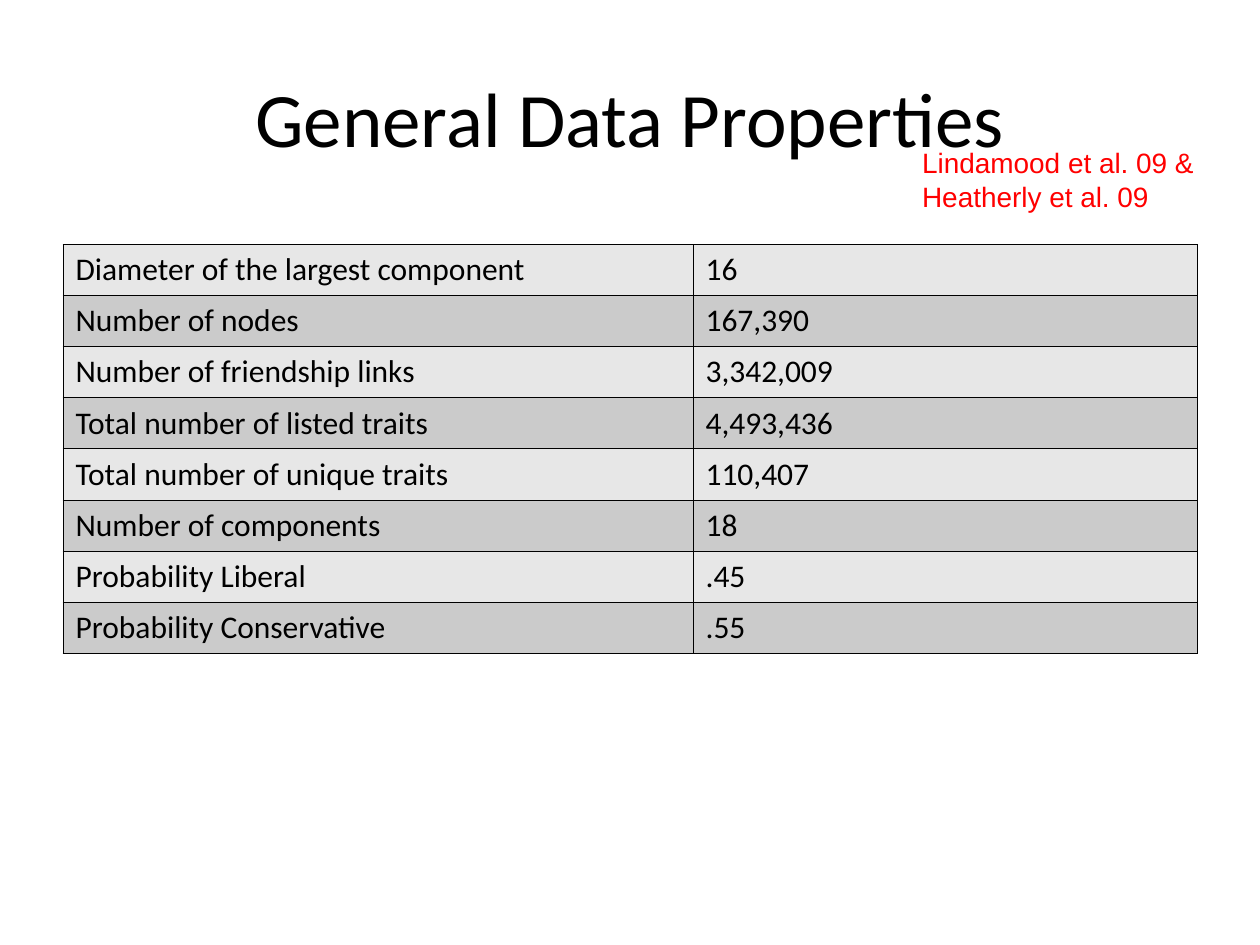
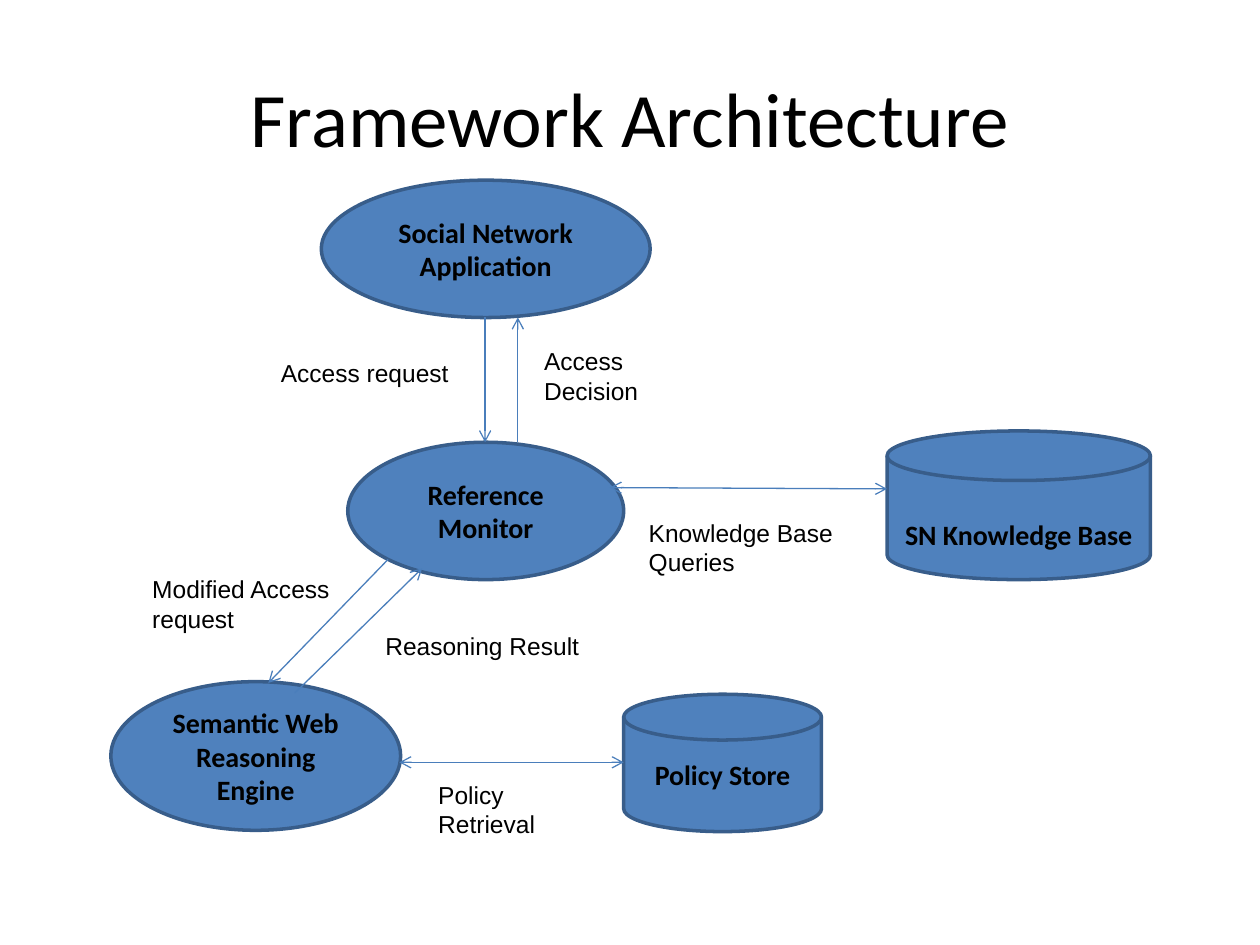
from collections import namedtuple
from lxml.etree import SubElement
from pptx import Presentation
from pptx.dml.color import RGBColor
from pptx.enum.shapes import MSO_CONNECTOR, MSO_SHAPE
from pptx.enum.text import MSO_ANCHOR, PP_ALIGN
from pptx.oxml.ns import qn
from pptx.util import Inches, Pt

WIDTH, HEIGHT = Inches(10), Inches(7.5)
COLS, ROWS = 100, 75
BLACK, RED, BLUE, NAVY, STEEL = "000000", "FF0000", "4F81BD", "385D8A", "4A7EBB"
BANDS = ("E7E7E7", "CBCBCB")
TITLE = {"name": "Calibri", "size": Pt(44)}
CELL = {"name": "Calibri", "size": Pt(18)}
NODE = {"name": "Calibri", "size": Pt(16), "bold": True}
CITE = {"name": "Arial", "size": Pt(16)}
LABEL = {"name": "Arial", "size": Pt(14)}
FRAME = {"word_wrap": True, "margin_left": Inches(0.1), "margin_right": Inches(0.1),
         "margin_top": Inches(0.05), "margin_bottom": Inches(0.05)}
CENTRED = {**FRAME, "vertical_anchor": MSO_ANCHOR.MIDDLE}

DATA = [
    ("Diameter of the largest component", "16"),
    ("Number of nodes", "167,390"),
    ("Number of friendship links", "3,342,009"),
    ("Total number of listed traits", "4,493,436"),
    ("Total number of unique traits", "110,407"),
    ("Number of components", "18"),
    ("Probability Liberal", ".45"),
    ("Probability Conservative", ".55"),
]
OVAL, DISK = MSO_SHAPE.OVAL, MSO_SHAPE.FLOWCHART_MAGNETIC_DISK
NODES = [
    (OVAL, "Social Network Application", (16.7, 0, 26.1, 10.9), 0.05),
    (OVAL, "Reference Monitor", (18.8, 20.8, 21.9, 10.9), 0.05),
    (OVAL, "Semantic Web Reasoning Engine", (0, 39.8, 23, 11.8), 0.05),
    (DISK, "Policy Store", (40.7, 40.8, 15.7, 10.9), 0.05),
    (DISK, "SN Knowledge Base", (61.6, 19.9, 20.9, 11.8), 0.32),
]
ONE, BOTH = ("tailEnd",), ("headEnd", "tailEnd")
ARROWS = [
    ((29.7, 10.9), (29.7, 20.8), ONE),
    ((32.3, 20.8), (32.3, 10.9), ONE),
    ((22, 30.1), (12.5, 39.9), ONE),
    ((14.6, 40.7), (24.7, 30.8), ONE),
    ((22.9, 46.2), (40.7, 46.2), BOTH),
    ((39.6, 24.4), (61.6, 24.5), BOTH),
]
LABELS = [
    ("Access request", (12.5, 13.6, 18.8, 3.4)),
    ("Access Decision", (33.4, 12.7, 13.6, 5.7)),
    ("Modified Access\nrequest", (2.3, 30.8, 16.7, 5.7)),
    ("Policy Retrieval", (25, 47.1, 14.6, 5.7)),
    ("Reasoning Result", (20.8, 35.3, 18.8, 3.4)),
    ("Knowledge Base Queries", (41.7, 26.3, 18.8, 5.7)),
]


class Box(namedtuple("Box", "x y w h")):
    """A region of the slide, in grid columns and rows."""

    def spot(self, x, y):
        """Return the slide position of a point inside the box."""
        return int((self.x + x) * WIDTH / COLS), int((self.y + y) * HEIGHT / ROWS)

    def area(self, x, y, w, h):
        """Return the slide position and size of an area of the box."""
        return *self.spot(x, y), int(w * WIDTH / COLS), int(h * HEIGHT / ROWS)

    def whole(self):
        """Return the slide position and size of the box itself."""
        return self.area(0, 0, self.w, self.h)


def color(code):
    """Turn a hex string into a colour."""
    return RGBColor.from_string(code)


def assign(thing, values):
    """Set each named value on an object."""
    for name, value in values.items():
        setattr(thing, name, value)


def write(frame, text, font, ink=BLACK, align=PP_ALIGN.LEFT, form=FRAME):
    """Fill a text frame, one paragraph for each line."""
    assign(frame, form)
    frame.text = text
    for para in frame.paragraphs:
        para.alignment = align
        for run in para.runs:
            assign(run.font, font)
            run.font.color.rgb = color(ink)


def head(slide, text):
    """Place and format the slide title."""
    title = slide.shapes.title
    assign(title, dict(zip(("left", "top", "width", "height"), Box(5, 3, 90, 12.5).whole())))
    write(title.text_frame, text, TITLE, align=PP_ALIGN.CENTER, form=CENTRED)


def note(slide, box, text, font, ink=BLACK):
    """Add a plain text box."""
    write(slide.shapes.add_textbox(*box).text_frame, text, font, ink)


def edge(cell):
    """Draw thin black borders around a cell."""
    props = cell._tc.get_or_add_tcPr()
    for place, side in enumerate(("lnL", "lnR", "lnT", "lnB")):
        line = props.makeelement(qn(f"a:{side}"), {"w": str(Pt(0.45))})
        fill = SubElement(line, qn("a:solidFill"))
        SubElement(fill, qn("a:srgbClr"), val=BLACK)
        props.insert(place, line)


def grid(slide, box):
    """Add the banded table of data properties."""
    table = slide.shapes.add_table(len(DATA), 2, *box.whole()).table
    assign(table, {"first_row": False, "horz_banding": False})
    for col, share in zip(table.columns, (5 / 9, 4 / 9)):
        col.width = int(box.w * share * WIDTH / COLS)
    for r, row in enumerate(DATA):
        for c, text in enumerate(row):
            cell = table.cell(r, c)
            cell.fill.solid()
            cell.fill.fore_color.rgb = color(BANDS[r % 2])
            write(cell.text_frame, text, CELL, form={})
            edge(cell)


def node(slide, kind, text, box, top):
    """Add one element of the framework."""
    shape = slide.shapes.add_shape(kind, *box)
    shape.shadow.inherit = False
    shape.fill.solid()
    shape.fill.fore_color.rgb = color(BLUE)
    shape.line.color.rgb = color(NAVY)
    shape.line.width = Pt(2)
    form = {**CENTRED, "margin_top": Inches(top)}
    write(shape.text_frame, text, NODE, align=PP_ALIGN.CENTER, form=form)


def arrow(slide, start, end, tips):
    """Add a thin line with open arrowheads."""
    link = slide.shapes.add_connector(MSO_CONNECTOR.STRAIGHT, *start, *end)
    link.line.color.rgb = color(STEEL)
    link.line.width = Pt(0.75)
    for tip in tips:
        SubElement(link.line._get_or_add_ln(), qn(f"a:{tip}"), type="arrow")
    SubElement(link._element.spPr, qn("a:effectLst"))


def chart(slide, box):
    """Draw the framework: nodes, arrows and their labels."""
    for kind, text, place, top in NODES:
        node(slide, kind, text, box.area(*place), top)
    for start, end, tips in ARROWS:
        arrow(slide, box.spot(*start), box.spot(*end), tips)
    for text, place in LABELS:
        note(slide, box.area(*place), text, LABEL)


def facts(slide):
    """Build the slide of data properties."""
    head(slide, "General Data Properties")
    grid(slide, Box(5, 19.4, 90, 32.4))
    cite = Box(72.2, 11.1, 27.8, 6.4)
    note(slide, cite.whole(), "Lindamood et al. 09 &\nHeatherly et al. 09", CITE, RED)


def design(slide):
    """Build the slide of the framework."""
    head(slide, "Framework Architecture")
    chart(slide, Box(8.8, 14.3, 82.5, 52.8))


def main():
    """Build and save the deck."""
    deck = Presentation()
    assign(deck, {"slide_width": WIDTH, "slide_height": HEIGHT})
    for build in (facts, design):
        build(deck.slides.add_slide(deck.slide_layouts[5]))
    deck.save("out.pptx")


if __name__ == "__main__":
    main()
